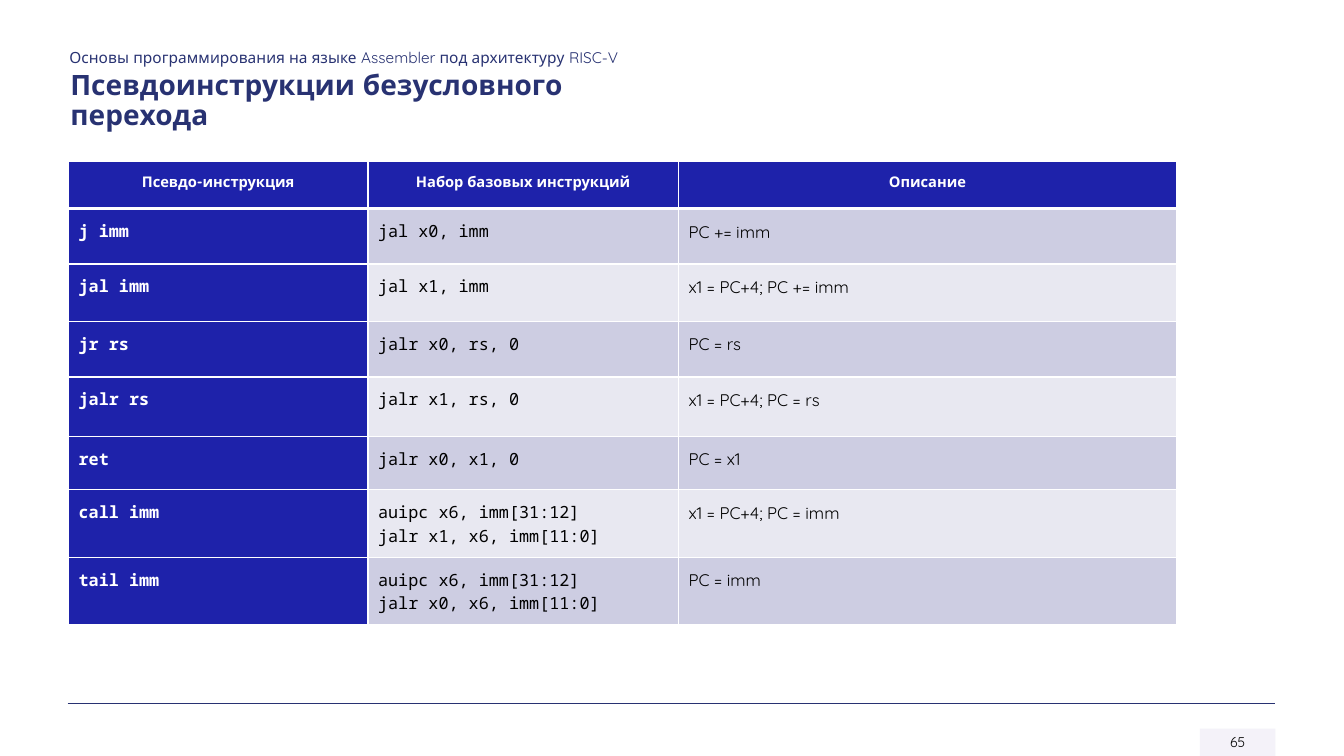
from pptx import Presentation, util as u
from pptx.dml.color import RGBColor
from pptx.enum import shapes, text
from pptx.oxml import parse_xml, ns
from lxml import etree

# Content
TOPIC = "Основы программирования на языке Assembler под архитектуру RISC-V"
TITLE = "Псевдоинструкции безусловного перехода"
PAGE = "65"
ROWS = [
    ("Псевдо-инструкция", "Набор базовых инструкций", "Описание"),
    ("j imm", "jal x0, imm", "PC += imm"),
    ("jal imm", "jal x1, imm", "x1 = PC+4; PC += imm"),
    ("jr rs", "jalr x0, rs, 0", "PC = rs"),
    ("jalr rs", "jalr x1, rs, 0", "x1 = PC+4; PC = rs"),
    ("ret", "jalr x0, x1, 0", "PC = x1"),
    ("call imm", "auipc x6, imm[31:12]\njalr x1, x6, imm[11:0]", "x1 = PC+4; PC = imm"),
    ("tail imm", "auipc x6, imm[31:12]\njalr x0, x6, imm[11:0]", "PC = imm"),
]

# Theme
SANS, MONO = "Quicksand", "Noto Sans Mono"
THEME = {
    "navy": "283272", "blue": "1E22AA", "white": "FFFFFF", "black": "000000",
    "bands": ("CDCDE2", "E8E8F1"), "badge": "F3F1F9",
    "topic": 11, "title": 20, "page": 10, "head": 10.5, "body": 12,
}

# Layout in inches
WIDE, HIGH = 13.33, 7.5
COLS = (2.97, 3.08, 4.94)
TALL = (0.47, 0.55, 0.57, 0.55, 0.59, 0.53, 0.67, 0.66)
GRID = (0.68, 1.6, sum(COLS), sum(TALL))
PAD = u.Inches(0.1)


def rgb(name):
    return RGBColor.from_string(THEME.get(name, name))


def box(place):
    return [u.Inches(v) for v in place]


def write(frame, words, size, color, face=SANS, bold=False, **form):
    para = frame.paragraphs[0]
    para.text = words
    for key, val in form.items():
        setattr(para, key, val)
    for run in para.runs:
        run.font.color.rgb = rgb(color)
        look = {"size": u.Pt(THEME[size]), "name": face, "bold": bold}
        for key, val in look.items():
            setattr(run.font, key, val)


def edge(cell, sides):
    props = cell._tc.get_or_add_tcPr()
    for spot, (side, width) in enumerate(sides.items()):
        props.insert(spot, parse_xml(
            f'<a:ln{side} {ns.nsdecls("a")} w="{u.Pt(width)}"><a:solidFill>'
            f'<a:srgbClr val="{THEME["white"]}"/></a:solidFill></a:ln{side}>'))


def label(slide, place, words, size, **form):
    frame = slide.shapes.add_textbox(*box(place)).text_frame
    frame.word_wrap = True
    write(frame, words, size, "navy", **form)


def footer(slide):
    badge = slide.shapes.add_shape(
        shapes.MSO_SHAPE.RECTANGLE, *box((11.9, HIGH - 0.27, 0.75, 0.27)))
    badge.shadow.inherit = False
    badge.fill.solid()
    badge.fill.fore_color.rgb = rgb("badge")
    tint = badge._element.spPr.find(".//" + ns.qn("a:srgbClr"))
    etree.SubElement(tint, ns.qn("a:alpha")).set("val", "90000")
    badge.line.fill.background()
    badge.text_frame.vertical_anchor = text.MSO_ANCHOR.MIDDLE
    write(badge.text_frame, PAGE, "page", "black", alignment=text.PP_ALIGN.CENTER)

    rule = slide.shapes.add_connector(
        shapes.MSO_CONNECTOR.STRAIGHT, *box((0.67, 6.98, 12.65, 6.98)))
    rule.line.color.rgb = rgb("navy")
    rule.line.width = u.Pt(1)
    etree.SubElement(rule._element.spPr, ns.qn("a:effectLst"))


def grid(slide):
    table = slide.shapes.add_table(len(ROWS), len(COLS), *box(GRID)).table
    table.horz_banding = False
    for col, width in zip(table.columns, COLS):
        col.width = u.Inches(width)
    for r, line in enumerate(ROWS):
        table.rows[r].height = u.Inches(TALL[r])
        for c, words in enumerate(line):
            cell = table.cell(r, c)
            for side in ("left", "right", "top", "bottom"):
                setattr(cell, "margin_" + side, PAD)
            dark = r == 0 or c == 0
            cell.fill.solid()
            cell.fill.fore_color.rgb = rgb("blue" if dark else THEME["bands"][(r - 1) % 2])
            edge(cell, {"L": 1, "R": 1, "T": 3 if r == 1 else 1, "B": 3 if r == 0 else 1})
            form = {"space_after": u.Pt(8), "line_spacing": u.Pt(16.8)}
            if r == 0:
                form.update(line_spacing=1.07, alignment=text.PP_ALIGN.CENTER)
            write(cell.text_frame, words, "body" if r else "head",
                  "white" if dark else "black",
                  MONO if r and c < 2 else SANS, dark, **form)


def main():
    deck = Presentation()
    deck.slide_width, deck.slide_height = box((WIDE, HIGH))
    slide = deck.slides.add_slide(deck.slide_layouts[6])
    footer(slide)
    label(slide, (0.59, 0.43, 10.24, 0.29), TOPIC, "topic")
    label(slide, (0.6, 0.66, 6.24, 0.44), TITLE, "title", bold=True, line_spacing=0.9)
    grid(slide)
    deck.save("out.pptx")


if __name__ == "__main__":
    main()
